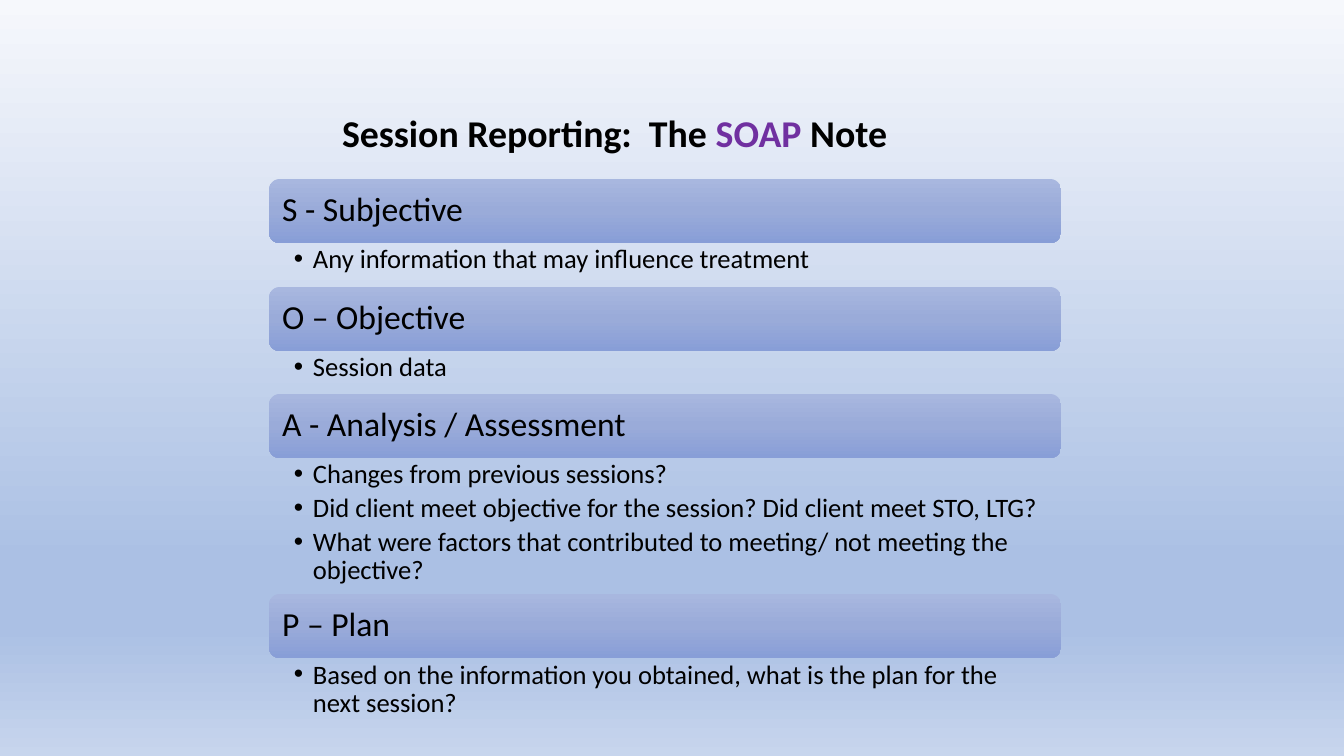
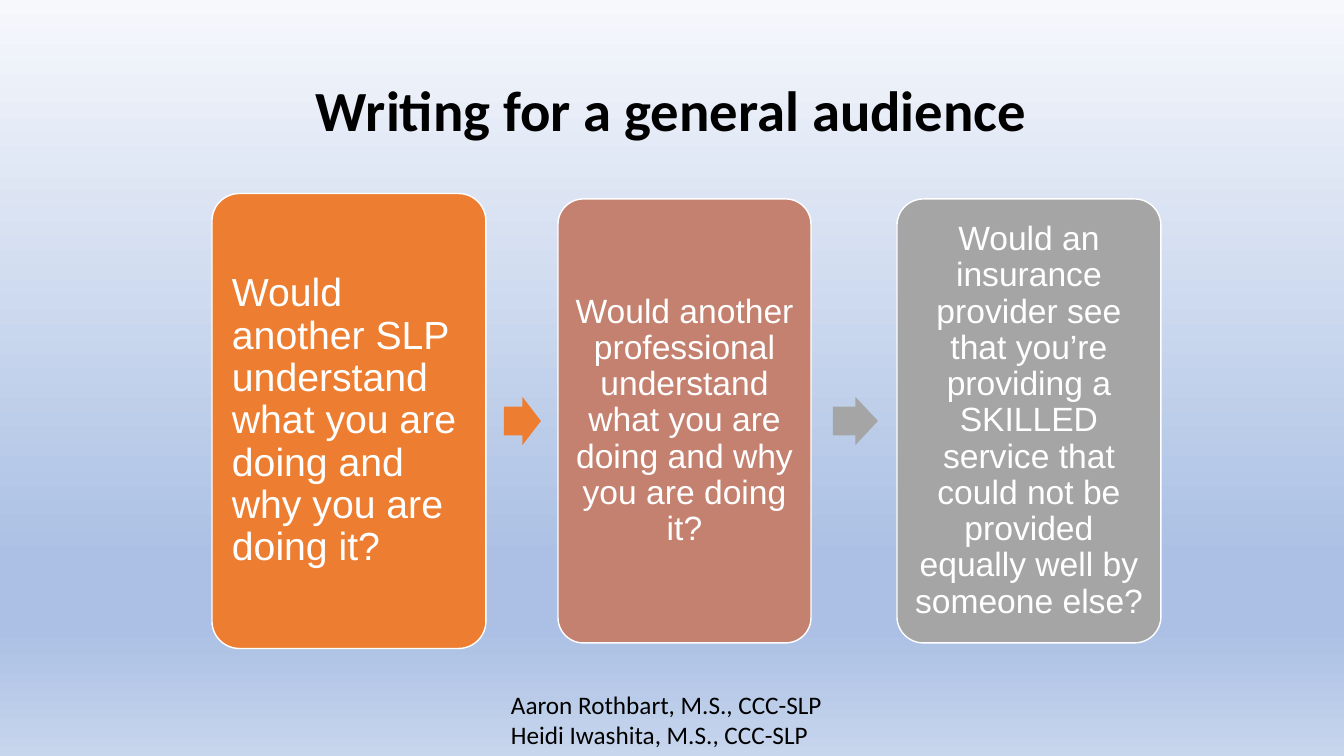
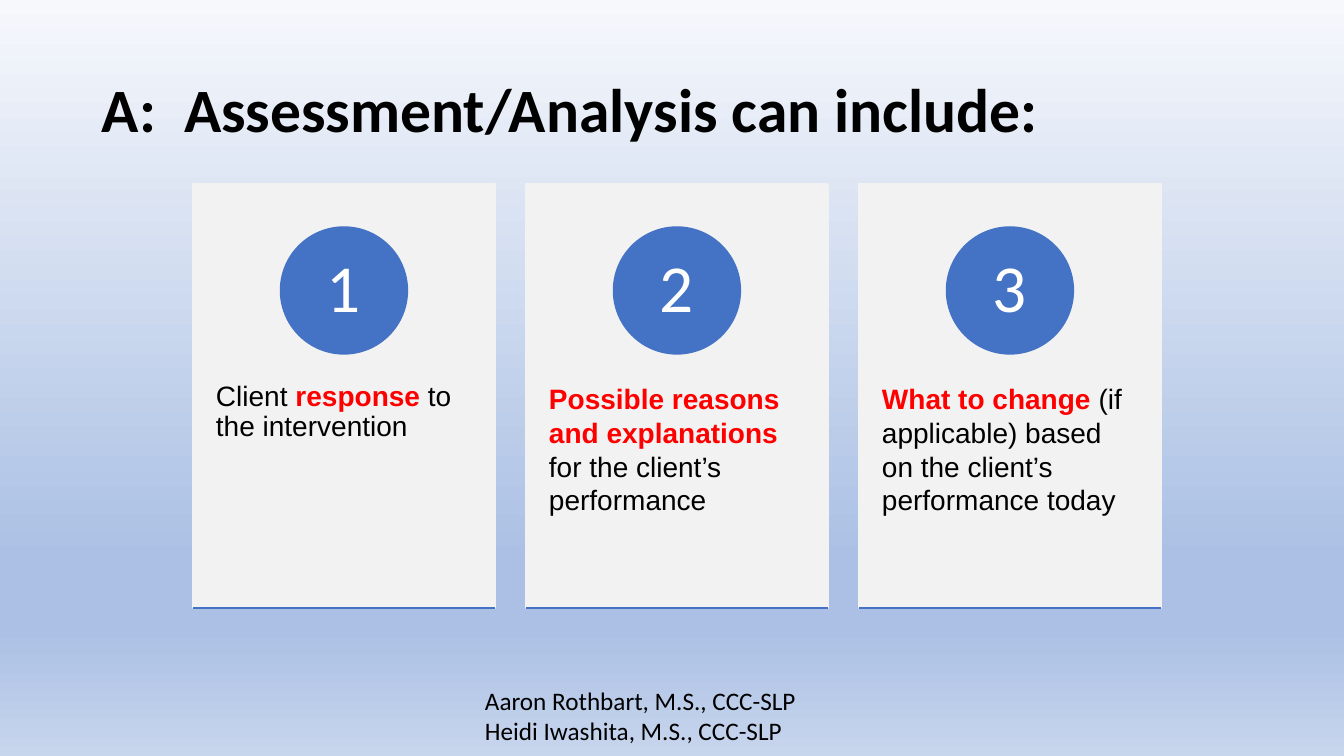
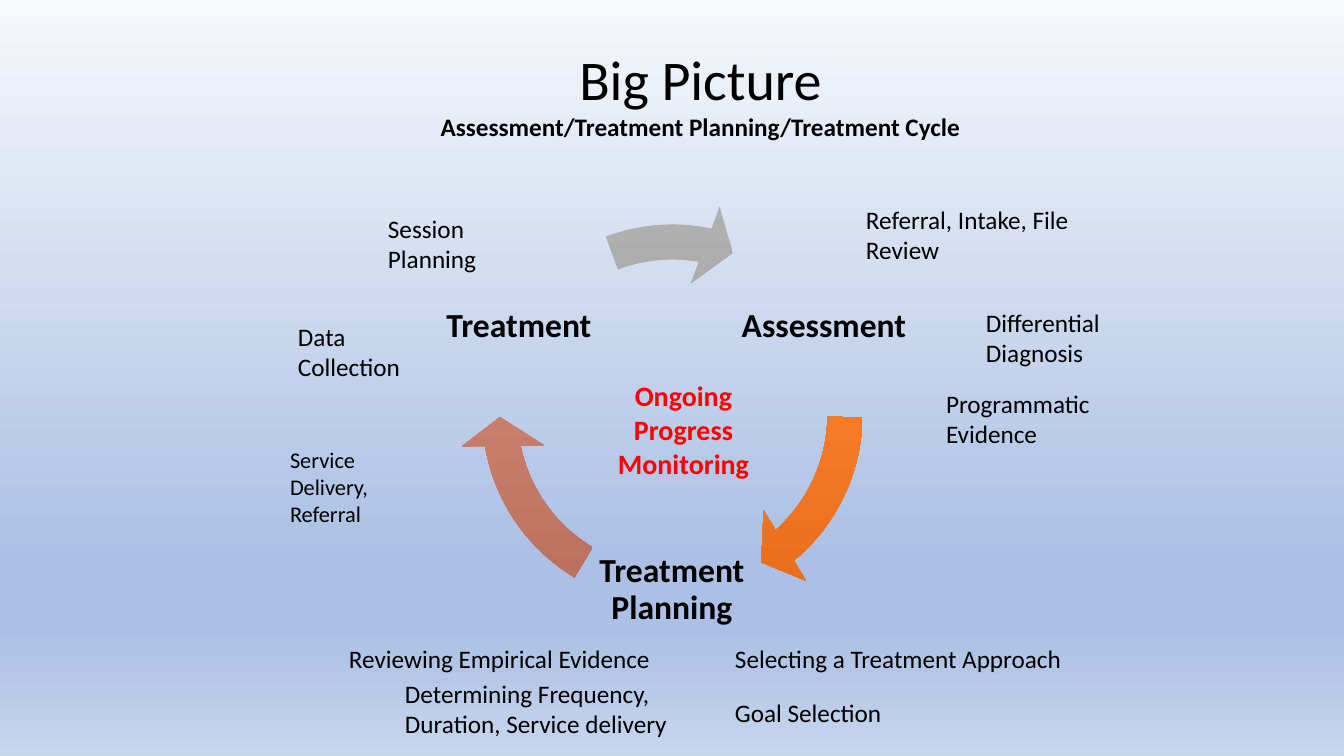
from lxml import etree
from pptx import Presentation
from pptx import util as u
from pptx.dml.color import RGBColor
from pptx.enum import shapes, text
from pptx.oxml.ns import qn

# Shared geometry and type
SCALE = 914400 / 100.8
SLIDE_W, SLIDE_H = 1344, 756
BODY, SANS = "Calibri", "Arial"
LEFT, CENTER = text.PP_ALIGN.LEFT, text.PP_ALIGN.CENTER
TOP, MIDDLE = text.MSO_ANCHOR.TOP, text.MSO_ANCHOR.MIDDLE
KIND = shapes.MSO_SHAPE

# Shared colours
BLACK = RGBColor(0x00, 0x00, 0x00)
WHITE = RGBColor(0xFF, 0xFF, 0xFF)
RED = RGBColor(0xFF, 0x00, 0x00)
PURPLE = RGBColor(0x70, 0x30, 0xA0)
ORANGE = RGBColor(0xED, 0x7D, 0x31)
CLAY = RGBColor(0xC4, 0x81, 0x70)
GRAY = RGBColor(0xA5, 0xA5, 0xA5)
PALE = RGBColor(0xF2, 0xF2, 0xF2)
BLUE = RGBColor(0x44, 0x72, 0xC4)


def ramp(*stops):
    return [(percent, RGBColor.from_string(code)) for percent, code in stops]


SKY = ramp((0, "F6F8FC"), (74, "ABC0E4"), (83, "ABC0E4"), (100, "C7D5ED"))
BAND = ramp((0, "A8B7DF"), (50, "9AABD9"), (100, "889ED7"))
ORANGE_RAMP = ramp((0, "F18C57"), (50, "F67B28"), (100, "E56C19"))
CLAY_RAMP = ramp((0, "CB8F81"), (50, "C97E6B"), (100, "B76D5B"))
GRAY_RAMP = ramp((0, "AFAFAF"), (50, "A5A5A5"), (100, "939393"))


def px(value):
    return u.Emu(round(value * SCALE))


def box(*lengths):
    return [px(length) for length in lengths]


# Fills and text
def paint_ramp(fill, owner, stops):
    """Vertical gradient; owner is the element that holds the fill."""
    fill.gradient()
    fill.gradient_angle = 270
    stop_list = next(owner.iter(qn("a:gsLst")))
    for stop in list(stop_list):
        stop_list.remove(stop)
    for percent, color in stops:
        stop = etree.SubElement(stop_list, qn("a:gs"), pos=str(percent * 1000))
        etree.SubElement(stop, qn("a:srgbClr"), val=str(color))


def add_bullet(paragraph, indent):
    properties = paragraph._p.get_or_add_pPr()
    properties.set("marL", str(px(indent)))
    properties.set("indent", str(px(-indent)))
    etree.SubElement(properties, qn("a:buFont"), typeface="Arial")
    etree.SubElement(properties, qn("a:buChar"), char="•")


def add_paragraph(paragraph, runs, size, font=BODY, color=BLACK, bold=False,
                  align=LEFT, spacing=1.0, after=0, bullet=0):
    """Runs is one string, or a list of (words, colour, bold)."""
    paragraph.alignment = align
    paragraph.line_spacing = spacing
    paragraph.space_after = u.Pt(after)
    if bullet:
        add_bullet(paragraph, bullet)
    if isinstance(runs, str):
        runs = [(runs, color, bold)]
    for words, run_color, run_bold in runs:
        run = paragraph.add_run()
        run.text = words
        run.font.name = font
        run.font.size = u.Pt(size)
        run.font.bold = run_bold
        run.font.color.rgb = run_color


def write(shape, paragraphs, size, anchor=TOP, insets=(10, 5, 10, 5), **style):
    frame = shape.text_frame
    frame.word_wrap = True
    frame.vertical_anchor = anchor
    (frame.margin_left, frame.margin_top,
     frame.margin_right, frame.margin_bottom) = box(*insets)
    for index, runs in enumerate(paragraphs):
        paragraph = frame.add_paragraph() if index else frame.paragraphs[0]
        add_paragraph(paragraph, runs, size, **style)
    return frame


# Elements
def add_label(slide, place, paragraphs, size=18, **style):
    label = slide.shapes.add_textbox(*box(*place))
    return write(label, paragraphs, size, **style)


def add_title(slide, runs, size, place=(92, 40, 1159, 146), align=LEFT):
    add_label(slide, place, [runs], size, anchor=MIDDLE, bold=True,
              align=align, spacing=0.9)


def add_authors(slide, left, top):
    add_label(slide, (left, top, 342, 72),
              ["Aaron Rothbart, M.S., CCC-SLP", "Heidi Iwashita, M.S., CCC-SLP"])


def add_block(slide, kind, place, fill, line=None, adjustments=()):
    """Preset shape; fill is one colour or a list of gradient stops."""
    block = slide.shapes.add_shape(kind, *box(*place))
    block.shadow.inherit = False
    for index, value in enumerate(adjustments):
        block.adjustments[index] = value
    if isinstance(fill, list):
        paint_ramp(block.fill, block._element, fill)
    else:
        block.fill.solid()
        block.fill.fore_color.rgb = fill
    if line is None:
        block.line.fill.background()
    else:
        block.line.color.rgb = line
        block.line.width = u.Pt(1)
    return block


def add_rule(slide, left, right, y, color):
    rule = slide.shapes.add_connector(
        shapes.MSO_CONNECTOR.STRAIGHT, *box(left, y, right, y))
    rule.line.color.rgb = color
    rule.line.width = u.Pt(1)
    etree.SubElement(rule._element.spPr, qn("a:effectLst"))


def add_cycle_arrow(slide, fill, head_angle, tail_angle):
    # Angle adjustments count 60000 to the degree, on a base of 100000
    add_block(slide, KIND.CIRCULAR_ARROW, (459, 201, 427, 427), fill,
              adjustments=(0.082, 9.6 * 0.6, head_angle * 0.6,
                           tail_angle * 0.6, 0.096))


# Slides
def build_soap_note(slide):
    add_title(slide, [("Session Reporting:  The ", BLACK, True),
                      ("SOAP", PURPLE, True), (" Note", BLACK, True)],
              27, (332, 96, 680, 79))
    left, top, width, band_height = 269, 179, 792, 64
    sections = [
        ("S - Subjective", 44, ["Any information that may influence treatment"]),
        ("O – Objective", 43, ["Session data"]),
        ("A - Analysis / Assessment", 136, [
            "Changes from previous sessions?",
            "Did client meet objective for the session? Did client meet STO, LTG?",
            "What were factors that contributed to meeting/ not meeting the objective?"]),
        ("P – Plan", 66, ["Based on the information you obtained, what is the plan "
                          "for the next session?"]),
    ]
    for heading, points_height, points in sections:
        band = add_block(slide, KIND.ROUNDED_RECTANGLE,
                         (left, top, width, band_height), BAND)
        write(band, [heading], 24, MIDDLE, (10, 10, 10, 10), spacing=0.9)
        top += band_height
        add_label(slide, (left, top, width, points_height), points, 19,
                  insets=(25, 3, 19, 3), spacing=0.9, after=3.5, bullet=19)
        top += points_height


def build_audience(slide):
    add_title(slide, "Writing for a general audience", 40.5, align=CENTER)
    middle = 421
    stages = [
        (212, 274, 455, ORANGE, 28, LEFT, 12,
         "Would another SLP understand what you are doing and why you are doing it?"),
        (558, 253, 444, CLAY, 24, CENTER, 10,
         "Would another professional understand what you are doing and why "
         "you are doing it?"),
        (897, 264, 444, GRAY, 24, CENTER, 10,
         "Would an insurance provider see that you’re providing a SKILLED service "
         "that could not be provided equally well by someone else?"),
    ]
    for left, width, height, color, size, align, inset, question in stages:
        card = add_block(slide, KIND.ROUNDED_RECTANGLE,
                         (left, middle - height / 2, width, height),
                         color, WHITE, (0.1,))
        write(card, [question], size, MIDDLE, (inset,) * 4, font=SANS,
              color=WHITE, align=align, spacing=0.9)
    for left, width, color in [(504, 37, ORANGE), (833, 45, GRAY)]:
        add_block(slide, KIND.RIGHT_ARROW, (left, middle - 24, width, 48),
                  color, adjustments=(0.6, 0.5))
    add_authors(slide, 501, 684)


def build_assessment(slide):
    add_title(slide, "A:  Assessment/Analysis can include:", 44)
    first_left, pitch, top, width, height, circle = 193, 333, 184, 302, 424, 127
    cards = [
        (0.9, [("Client ", BLACK, False), ("response", RED, True),
               (" to the intervention", BLACK, False)]),
        (1.0, [("Possible reasons and explanations ", RED, True),
               ("for the client’s performance", BLACK, False)]),
        (1.0, [("What to change ", RED, True),
               ("(if applicable) based on the client’s performance today",
                BLACK, False)]),
    ]
    for index, (spacing, runs) in enumerate(cards):
        left = first_left + index * pitch
        card = add_block(slide, KIND.RECTANGLE, (left, top, width, height),
                         PALE, PALE)
        write(card, [runs], 20, TOP, (23, 198, 23, 36), font=SANS, spacing=spacing)
        badge = add_block(slide, KIND.OVAL,
                          (left + (width - circle) / 2, top + 43, circle, circle),
                          BLUE, BLUE)
        write(badge, [str(index + 1)], 48, MIDDLE, (10, 1, 10, 1),
              color=WHITE, align=CENTER, spacing=0.9)
        add_rule(slide, left, left + width, top + height, BLUE)
    add_authors(slide, 475, 680)


def build_big_picture(slide):
    heading = add_label(slide, (288, 39, 825, 109), ["Big Picture"], 40,
                        align=CENTER)
    add_paragraph(heading.add_paragraph(),
                  "Assessment/Treatment Planning/Treatment Cycle", 18,
                  bold=True, align=CENTER)
    # Cycle
    for left, top, phase in [(734, 237, "Assessment"),
                             (582, 500, "Treatment Planning"),
                             (429, 237, "Treatment")]:
        add_label(slide, (left, top, 180, 180), [phase], 24, anchor=MIDDLE,
                  insets=(3, 3, 3, 3), bold=True, align=CENTER, spacing=0.9)
    add_cycle_arrow(slide, ORANGE_RAMP, 49.4, 0.86)
    add_cycle_arrow(slide, CLAY_RAMP, 169.54, 121)
    add_cycle_arrow(slide, GRAY_RAMP, 280.95, 249.45)
    add_label(slide, (587, 374, 193, 112), ["Ongoing Progress Monitoring"], 20,
              color=RED, bold=True, align=CENTER)
    # Steps around the cycle
    steps = [
        (856, 199, 241, 72, "Referral, Intake, File Review"),
        (976, 302, 167, 72, "Differential Diagnosis"),
        (936, 383, 176, 72, "Programmatic Evidence"),
        (339, 638, 362, 40, "Reviewing Empirical Evidence"),
        (725, 638, 388, 40, "Selecting a Treatment Approach"),
        (395, 673, 330, 72, "Determining Frequency, Duration, Service delivery"),
        (725, 692, 317, 40, "Goal Selection"),
        (378, 208, 142, 72, "Session Planning"),
        (288, 316, 141, 72, "Data Collection"),
    ]
    for *place, step in steps:
        add_label(slide, place, [step])
    add_label(slide, (280, 441, 149, 92), ["Service Delivery, Referral"], 16)


def main():
    deck = Presentation()
    deck.slide_width, deck.slide_height = box(SLIDE_W, SLIDE_H)
    master = deck.slide_master
    paint_ramp(master.background.fill, master._element, SKY)
    for build in (build_soap_note, build_audience, build_assessment,
                  build_big_picture):
        build(deck.slides.add_slide(deck.slide_layouts[6]))
    deck.save("out.pptx")


main()
